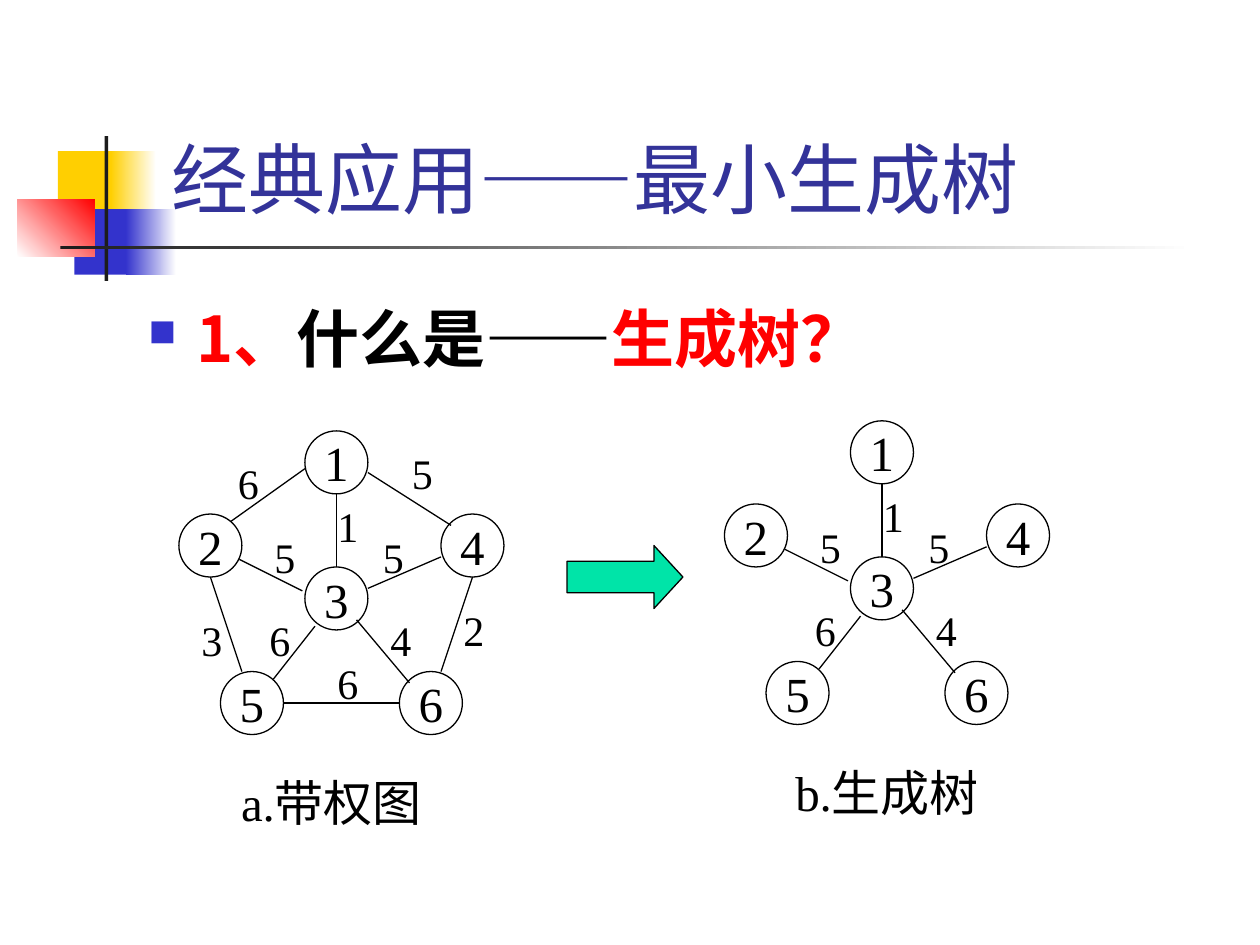
from lxml import etree
from pptx import Presentation
from pptx.dml.color import RGBColor
from pptx.enum.shapes import MSO_CONNECTOR, MSO_SHAPE
from pptx.enum.text import MSO_ANCHOR, MSO_AUTO_SIZE, PP_ALIGN
from pptx.oxml.ns import qn
from pptx.util import Inches, Pt

RECT, OVAL, ARROW = MSO_SHAPE.RECTANGLE, MSO_SHAPE.OVAL, MSO_SHAPE.RIGHT_ARROW
STRAIGHT = MSO_CONNECTOR.STRAIGHT
TOP, MIDDLE, BOTTOM = MSO_ANCHOR.TOP, MSO_ANCHOR.MIDDLE, MSO_ANCHOR.BOTTOM
LEFT, CENTER = PP_ALIGN.LEFT, PP_ALIGN.CENTER
GROW = MSO_AUTO_SIZE.SHAPE_TO_FIT_TEXT

COLORS = {
    "white": "FFFFFF", "black": "000000", "ink": "1C1C1C", "yellow": "FFCF01",
    "blue": "3333CC", "red": "FF0000", "title": "333399", "green": "00E4A8",
}
SERIF, CJK = "Times New Roman", "Noto Sans CJK SC"
NODE_SIZE = 0.5

# Left and top of each vertex in the weighted graph
NODES = {1: (2.42, 3.42), 2: (1.42, 4.08), 3: (2.42, 4.5),
         4: (3.5, 4.08), 5: (1.75, 5.33), 6: (3.17, 5.33)}

# Start, end, weight, left and top of the weight
TREE_EDGES = [
    ((2.67, 4.5), (2.67, 3.92), 1, (2.58, 3.92)),
    ((1.9, 4.44), (2.4, 4.69), 5, (2.08, 4.17)),
    ((2.92, 4.67), (3.5, 4.42), 5, (2.94, 4.17)),
    ((2.17, 5.39), (2.5, 4.97), 6, (2.04, 4.83)),
    ((2.83, 4.92), (3.25, 5.42), 4, (3, 4.83)),
]
OUTER_EDGES = [
    ((1.83, 4.14), (2.42, 3.72), 6, (1.79, 3.58)),
    ((2.92, 3.75), (3.58, 4.17), 5, (3.17, 3.5)),
    ((1.92, 5.33), (1.67, 4.58), 3, (1.5, 4.83)),
    ((3.5, 5.33), (3.75, 4.58), 2, (3.58, 4.75)),
    ((2.25, 5.58), (3.17, 5.58), 6, (2.58, 5.17)),
]

# Left, top, width, height, colours, gradient angle
ORNAMENTS = [
    (0.46, 1.2, 0.48, 0.52, ["yellow"], 0),
    (0.88, 1.2, 0.36, 0.52, ["yellow", "white"], 0),
    (0.59, 1.66, 0.46, 0.52, ["blue"], 0),
    (1, 1.66, 0.4, 0.52, ["blue", "white"], 0),
    (0.14, 1.58, 0.61, 0.46, ["white", "red"], 45),
    (0.83, 1.08, 0.03, 1.15, ["ink"], 0),
    (0.48, 1.95, 9, 0.03, ["ink", "white"], 0),
]


def rgb(name):
    return RGBColor.from_string(COLORS[name])


def set_all(target, formats):
    for attribute, value in formats.items():
        setattr(target, attribute, value)


class SlideBuilder:
    """Holds the current slide, the outline style and the shapes being drawn into."""

    def __init__(self, slide):
        self.slide = slide
        self.canvas = slide.shapes
        self.outline = {"width": Pt(0.75)}

    def stroke(self, line):
        line.color.rgb = rgb("black")
        set_all(line, self.outline)

    def fill_text(self, frame, runs, align=LEFT, **frame_formats):
        """Fill the frame with runs of (text, size, font, colour, bold)."""
        set_all(frame, {"word_wrap": True, "vertical_anchor": TOP, **frame_formats})
        paragraph = frame.paragraphs[0]
        paragraph.alignment = align
        for text, size, font, color, bold in runs:
            run = paragraph.add_run()
            run.text = text
            set_all(run.font, {"size": Pt(size), "name": font, "bold": bold})
            run.font.color.rgb = rgb(color)
            east_asian = etree.Element(qn("a:ea"), typeface=CJK)
            run.font._element.find(qn("a:latin")).addnext(east_asian)
        return paragraph

    def text(self, box, runs, align=LEFT, **frame_formats):
        frame = self.canvas.add_textbox(*map(Inches, box)).text_frame
        return self.fill_text(frame, runs, align, **frame_formats)

    def shape(self, kind, box):
        shape = self.canvas.add_shape(kind, *map(Inches, box))
        shape.shadow.inherit = False
        return shape

    def ornament(self, box, colors, angle):
        block = self.shape(RECT, box)
        block.line.fill.background()
        if len(colors) == 1:
            block.fill.solid()
            block.fill.fore_color.rgb = rgb(colors[0])
            return
        block.fill.gradient()
        block.fill.gradient_angle = angle
        for stop, color in zip(block.fill.gradient_stops, colors):
            stop.color.rgb = rgb(color)

    def node(self, number, left, top):
        vertex = self.shape(OVAL, (left, top, NODE_SIZE, NODE_SIZE))
        vertex.fill.background()
        self.stroke(vertex.line)
        self.fill_text(vertex.text_frame, [(str(number), 28, SERIF, "black", False)],
                       CENTER, word_wrap=False, vertical_anchor=MIDDLE)

    def edge(self, start, end):
        line = self.canvas.add_connector(STRAIGHT, *map(Inches, (*start, *end)))
        self.stroke(line.line)
        etree.SubElement(line._element.spPr, qn("a:effectLst"))

    def graph(self, edges, dx=0, dy=0):
        """Draw the vertices and the given edges, moved by dx and dy, as one group."""
        def move(point):
            return point[0] + dx, point[1] + dy

        self.canvas = self.slide.shapes.add_group_shape().shapes
        for number, corner in NODES.items():
            self.node(number, *move(corner))
        for start, end, weight, corner in edges:
            self.edge(move(start), move(end))
            self.text((*move(corner), 0.33, 0.5),
                      [(str(weight), 24, SERIF, "black", False)], CENTER, auto_size=GROW)
        self.canvas = self.slide.shapes

    def caption(self, text, left, top):
        self.text((left, top, 1.92, 0.57), [(text, 28, SERIF, "black", False)],
                  CENTER, auto_size=GROW)

    def arrow(self, box):
        arrow = self.shape(ARROW, box)
        arrow.adjustments[1] = 0.46
        arrow.fill.solid()
        arrow.fill.fore_color.rgb = rgb("green")
        self.stroke(arrow.line)

    def bullet(self, paragraph):
        properties = paragraph._p.get_or_add_pPr()
        properties.set("marL", str(Inches(0.38)))
        properties.set("indent", str(-Inches(0.38)))
        color = etree.SubElement(properties, qn("a:buClr"))
        etree.SubElement(color, qn("a:srgbClr"), val=COLORS["blue"])
        etree.SubElement(properties, qn("a:buSzPct"), val="60000")
        etree.SubElement(properties, qn("a:buChar"), char="■")


def main():
    deck = Presentation()
    set_all(deck, {"slide_width": Inches(10), "slide_height": Inches(7.5)})
    builder = SlideBuilder(deck.slides.add_slide(deck.slide_layouts[6]))

    for *box, colors, angle in ORNAMENTS:
        builder.ornament(box, colors, angle)

    builder.text((1.26, 0.23, 8.52, 1.6), [
        ("经典应用", 44, "Karla", "title", False),
        ("——", 44, "Arial", "title", False),
        ("最小生成树", 44, "Karla", "title", False),
    ], vertical_anchor=BOTTOM)
    question = builder.text((1.08, 2.33, 6.5, 0.83), [
        ("1、", 36, CJK, "red", True),
        ("什么是", 36, CJK, "black", True),
        ("——", 36, "Arial", "black", True),
        ("生成树？", 36, CJK, "red", True),
    ])
    builder.bullet(question)

    builder.graph(TREE_EDGES + OUTER_EDGES)
    builder.graph(TREE_EDGES, dx=4.33, dy=-0.08)
    builder.arrow((4.5, 4.33, 0.92, 0.5))
    builder.caption("a.带权图", 1.67, 6.08)
    builder.caption("b.生成树", 6.08, 6)
    deck.save("out.pptx")


if __name__ == "__main__":
    main()
